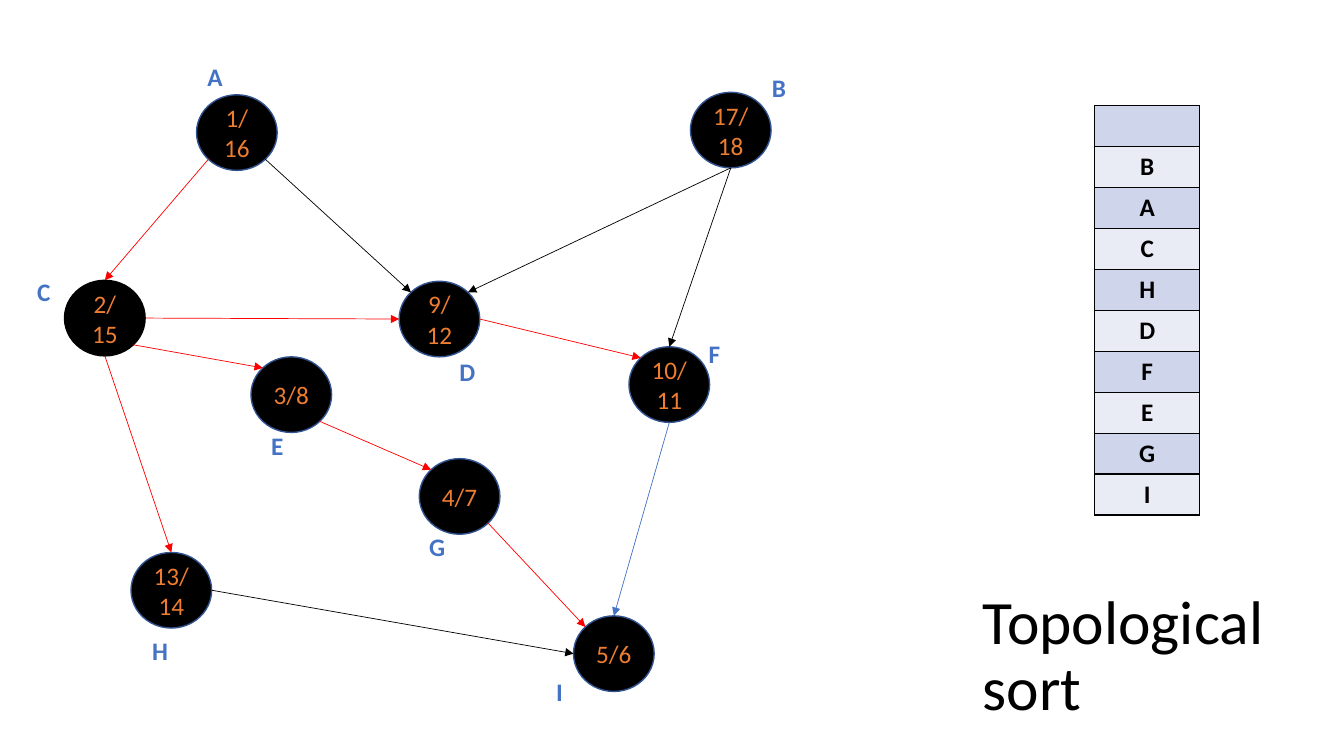
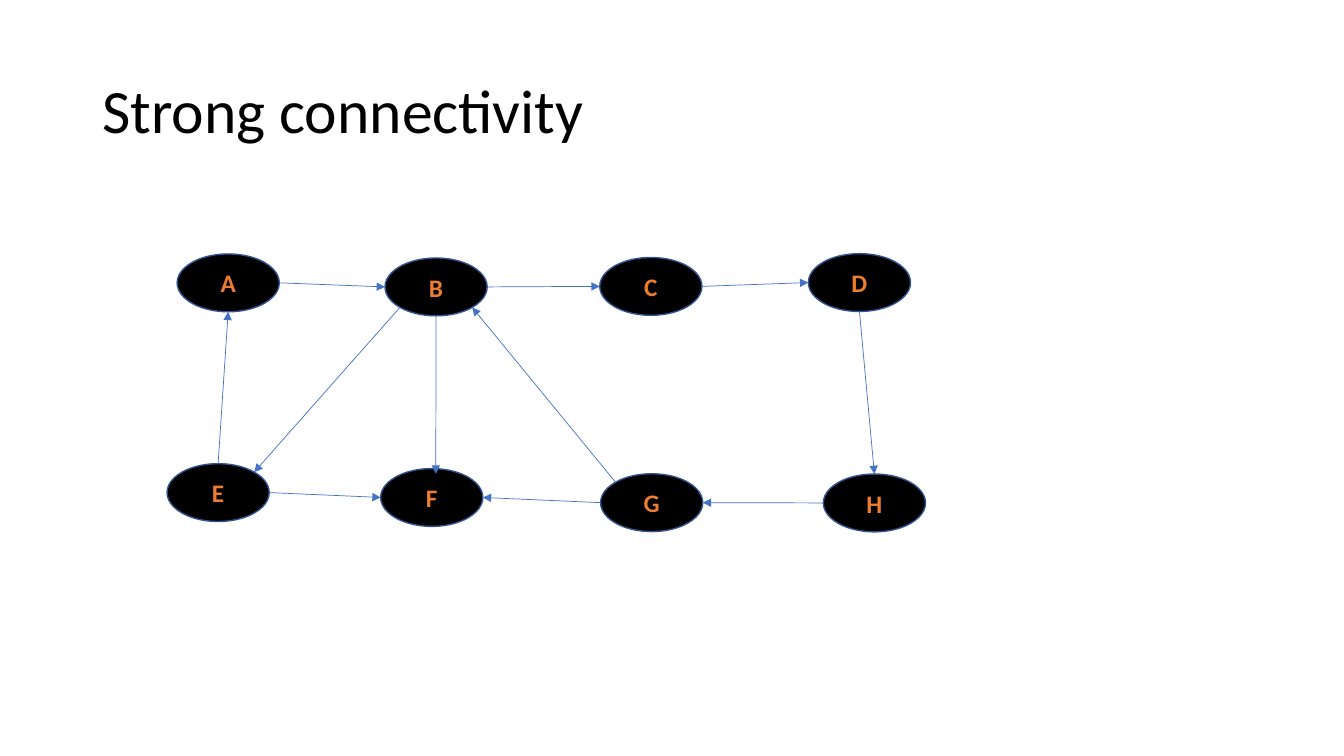
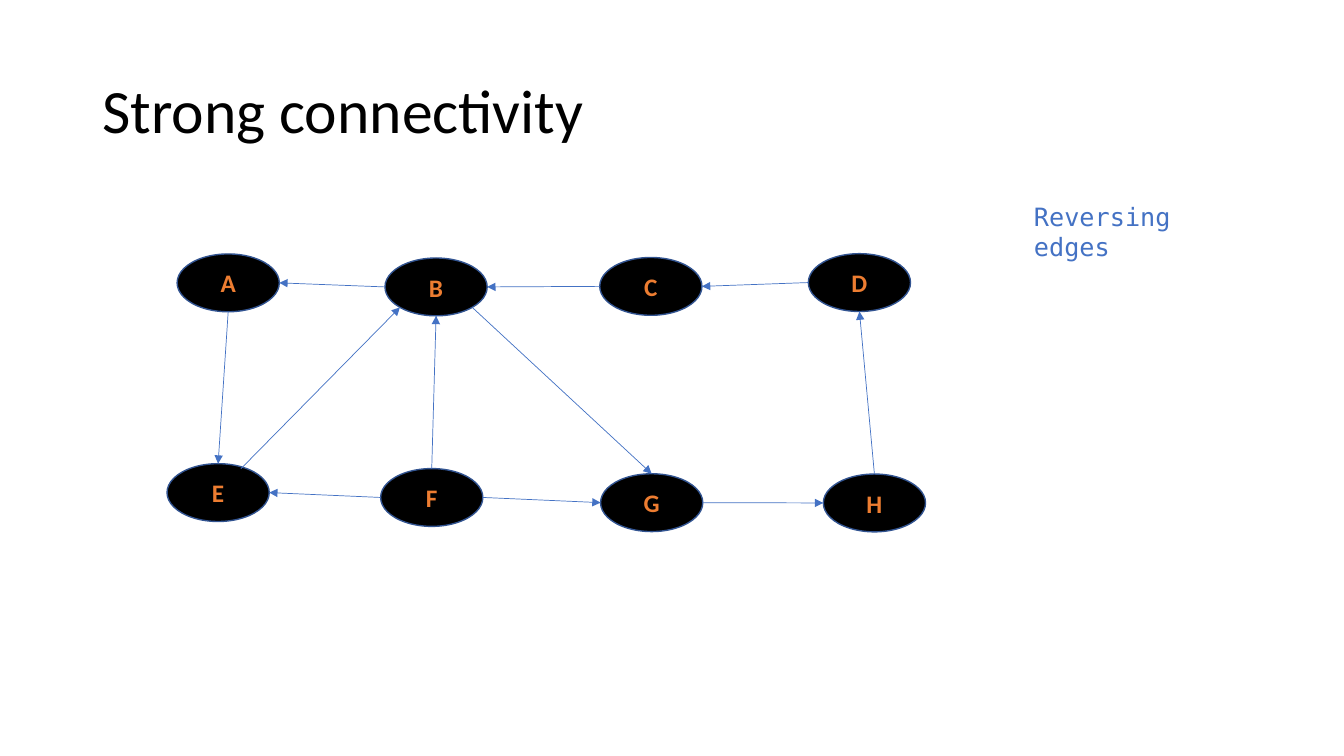
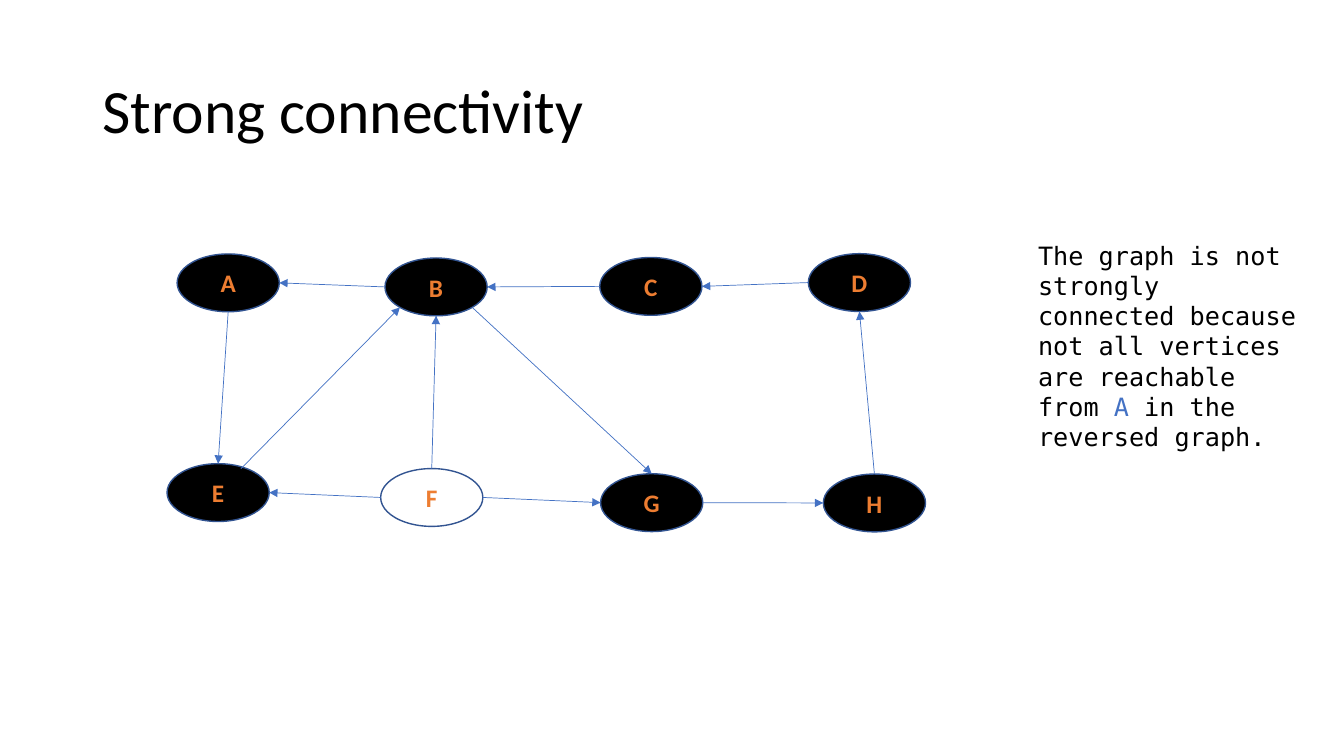
from dataclasses import dataclass
from math import cos, pi, sin
from typing import Any, NamedTuple

from lxml.etree import SubElement
from pptx import Presentation
from pptx.dml.color import RGBColor
from pptx.enum.shapes import MSO_CONNECTOR, MSO_SHAPE
from pptx.enum.text import MSO_ANCHOR, MSO_AUTO_SIZE, PP_ALIGN
from pptx.oxml.ns import qn
from pptx.shapes.autoshape import Shape
from pptx.slide import Slide
from pptx.util import Pt

OVAL = MSO_SHAPE.OVAL
STRAIGHT = MSO_CONNECTOR.STRAIGHT
MIDDLE = MSO_ANCHOR.MIDDLE
TOP = MSO_ANCHOR.TOP
GROW = MSO_AUTO_SIZE.SHAPE_TO_FIT_TEXT
FIXED = MSO_AUTO_SIZE.NONE
LEFT = PP_ALIGN.LEFT
CENTER = PP_ALIGN.CENTER

# Connection sites of an oval, counted anticlockwise from the top
N, NW, W, SW, S, SE, E, NE = range(8)


# Theme
@dataclass(frozen=True)
class Theme:
    black: str = "000000"
    red: str = "FF0000"
    blue: str = "4472C4"
    navy: str = "325491"
    orange: str = "ED7D31"
    dark: str = "CFD5EA"
    light: str = "E9EBF5"
    sans: str = "Calibri"
    mono: str = "DejaVu Sans Mono"
    head: float = 44
    body: float = 18
    rim: float = 1
    thin: float = 0.5


T = Theme()


class Box(NamedTuple):
    x: float
    y: float
    w: float
    h: float


class Run(NamedTuple):
    text: str
    color: str
    size: float = T.body
    bold: bool = False
    face: str = T.sans


class Node(NamedTuple):
    name: str
    x: float
    y: float
    text: str
    rim: str = T.navy


class Tag(NamedTuple):
    text: str
    x: float
    y: float


class Spot(NamedTuple):
    x: float
    y: float


class End(NamedTuple):
    name: str
    site: int


class Edge(NamedTuple):
    start: End | Spot
    stop: End | Spot
    color: str = T.blue


# Slide 1 data
DISC = (57.6, 54)
TAG = (56.2, 29)
TREE = [
    Node("A", 140.4, 67.7, "1/\n16"),
    Node("D", 285.1, 200.9, "9/\n12"),
    Node("F", 449.3, 247.7, "10/\n11"),
    Node("B", 493.2, 65.9, "17/18"),
    Node("I", 409.7, 439.9, "5/6"),
    Node("G", 299.5, 327.6, "4/7"),
    Node("E", 179.3, 254.9, "3/8"),
    Node("H", 93.6, 394.6, "13/14"),
    Node("C", 46.1, 200.2, "2/\n15", T.black),
]
TAGS = [
    Tag("A", 141.1, 40.3),
    Tag("B", 544.3, 48.2),
    Tag("C", 19.4, 193.7),
    Tag("D", 321.1, 251.3),
    Tag("F", 499, 238.3),
    Tag("G", 299.5, 375.8),
    Tag("E", 186.5, 303.8),
    Tag("H", 101.5, 450),
    Tag("I", 390.2, 479.5),
]
PATHS = [
    Edge(End("A", SW), End("C", N), T.red),
    Edge(End("C", S), End("H", N), T.red),
    Edge(End("H", E), End("I", W), T.black),
    Edge(End("G", SE), End("I", NW), T.red),
    Edge(End("E", SE), End("G", NW), T.red),
    Edge(End("C", SE), End("E", NW), T.red),
    Edge(End("C", E), End("D", W), T.red),
    Edge(End("D", E), End("F", NW), T.red),
    Edge(End("F", S), End("I", N)),
    Edge(End("B", S), End("F", N), T.black),
    Edge(End("B", S), End("D", NE), T.black),
    Edge(End("A", SE), End("D", NW), T.black),
]
ORDER = ["", *"BACHDFEGI"]
GRID = Box(782, 75.6, 74.9, 292.3)

# Slides 2 to 4 data
PILL = (73, 41.3)
WEB = [
    Node("A", 126.5, 181.4, "A"),
    Node("B", 275, 184.3, "B"),
    Node("C", 428.4, 183.9, "C"),
    Node("D", 577.4, 181.2, "D"),
    Node("H", 588.1, 338.6, "H"),
    Node("G", 429, 338.4, "G"),
    Node("F", 271.9, 334.7, "F"),
    Node("E", 119.3, 331.2, "E"),
]
BOTH = [
    Edge(End("A", E), End("B", W)),
    Edge(End("B", E), End("C", W)),
    Edge(End("E", E), End("F", W)),
    Edge(End("E", N), End("A", S)),
    Edge(End("C", E), End("D", W)),
    Edge(End("D", S), End("H", N)),
    Edge(End("H", W), End("G", E)),
    Edge(End("G", W), End("F", E)),
]
AHEAD = BOTH + [
    Edge(End("B", SW), End("E", NE)),
    Edge(End("B", S), Spot(311.3, 338.4)),
    Edge(End("G", NW), End("B", SE)),
]
BACK = [Edge(e.stop, e.start) for e in BOTH] + [
    Edge(Spot(172.1, 334.8), End("B", SW)),
    Edge(End("F", N), End("B", S)),
    Edge(End("B", SE), End("G", N)),
]
HEAD = Box(66, 28.8, 828, 104.4)


# Text
def put(item: Any, vals: dict[str, Any]) -> None:
    for key, val in vals.items():
        setattr(item, key, val)


def write(para: Any, runs: list[Run], align: Any = LEFT) -> None:
    para.alignment = align
    for part in runs:
        run = para.add_run()
        run.text = part.text
        put(run.font, {"name": part.face, "size": Pt(part.size), "bold": part.bold})
        run.font.color.rgb = RGBColor.from_string(part.color)


def label(slide: Slide, box: Box, runs: list[Run], **extra: Any) -> Any:
    frame = slide.shapes.add_textbox(*map(Pt, box)).text_frame
    put(frame, {"word_wrap": True, "auto_size": GROW, "vertical_anchor": TOP} | extra)
    write(frame.paragraphs[0], runs)
    return frame.paragraphs[0]


def title(slide: Slide, text: str, box: Box = HEAD) -> None:
    runs = [Run(text, T.black, T.head)]
    para = label(slide, box, runs, auto_size=FIXED, vertical_anchor=MIDDLE)
    para.line_spacing = 0.9


# Graphs
def oval(slide: Slide, node: Node, size: tuple[float, float], bold: bool,
         clear: bool) -> Shape:
    shape = slide.shapes.add_shape(OVAL, *map(Pt, (node.x, node.y, *size)))
    shape.shadow.inherit = False
    if clear:
        shape.fill.background()
    else:
        shape.fill.solid()
        shape.fill.fore_color.rgb = RGBColor.from_string(T.black)
    shape.line.color.rgb = RGBColor.from_string(node.rim)
    shape.line.width = Pt(T.rim)
    frame = shape.text_frame
    put(frame, {"word_wrap": True, "vertical_anchor": MIDDLE})
    for num, text in enumerate(node.text.split("\n")):
        para = frame.add_paragraph() if num else frame.paragraphs[0]
        write(para, [Run(text, T.orange, bold=bold)], CENTER)
    return shape


def locate(end: End | Spot, ovals: dict[str, Shape]) -> tuple[int, int]:
    if isinstance(end, Spot):
        return Pt(end.x), Pt(end.y)
    shape, turn = ovals[end.name], end.site * pi / 4
    x = shape.left + shape.width / 2 * (1 - sin(turn))
    y = shape.top + shape.height / 2 * (1 - cos(turn))
    return round(x), round(y)


def arrow(slide: Slide, edge: Edge, ovals: dict[str, Shape]) -> None:
    ends = (*locate(edge.start, ovals), *locate(edge.stop, ovals))
    line = slide.shapes.add_connector(STRAIGHT, *ends)
    line.line.color.rgb = RGBColor.from_string(edge.color)
    line.line.width = Pt(T.thin)
    prop = line.element.spPr
    SubElement(prop.find(qn("a:ln")), qn("a:tailEnd"), type="triangle")
    SubElement(prop, qn("a:effectLst"))
    # Join by XML, as an oval has eight sites
    joint = line.element.find(".//" + qn("p:cNvCxnSpPr"))
    for tag, end in (("a:stCxn", edge.start), ("a:endCxn", edge.stop)):
        if isinstance(end, End):
            ident = str(ovals[end.name].shape_id)
            SubElement(joint, qn(tag), id=ident, idx=str(end.site))


def graph(slide: Slide, nodes: list[Node], edges: list[Edge],
          size: tuple[float, float] = PILL, bold: bool = True,
          clear: str = "") -> None:
    ovals = {n.name: oval(slide, n, size, bold, n.name == clear) for n in nodes}
    for edge in edges:
        arrow(slide, edge, ovals)


# Table
def border(cell: Any) -> None:
    prop = cell._tc.get_or_add_tcPr()
    for num, side in enumerate(("a:lnL", "a:lnR", "a:lnT", "a:lnB")):
        line = prop.makeelement(qn(side), {"w": str(Pt(T.rim))})
        fill = SubElement(line, qn("a:solidFill"))
        SubElement(fill, qn("a:srgbClr"), val=T.black)
        prop.insert(num, line)


def column(slide: Slide, names: list[str], box: Box) -> None:
    table = slide.shapes.add_table(len(names), 1, *map(Pt, box)).table
    put(table, {"first_row": False, "horz_banding": False})
    for num, name in enumerate(names):
        cell = table.cell(num, 0)
        cell.fill.solid()
        shade = T.light if num % 2 else T.dark
        cell.fill.fore_color.rgb = RGBColor.from_string(shade)
        if name:
            write(cell.text_frame.paragraphs[0], [Run(name, T.black, bold=True)], CENTER)
        border(cell)


# Slides
def main() -> None:
    deck = Presentation()
    put(deck, {"slide_width": Pt(960), "slide_height": Pt(540)})
    sort, plain, turned, last = (
        deck.slides.add_slide(deck.slide_layouts[6]) for _ in range(4))

    title(sort, "Topological sort", Box(694.8, 417.6, 234.7, 104.4))
    graph(sort, TREE, PATHS, DISC, bold=False)
    for tag in TAGS:
        label(sort, Box(tag.x, tag.y, *TAG), [Run(tag.text, T.blue, bold=True)])
    column(sort, ORDER, GRID)

    for slide, edges, clear in ((plain, AHEAD, ""), (turned, BACK, ""), (last, BACK, "F")):
        title(slide, "Strong connectivity")
        graph(slide, WEB, edges, clear=clear)

    label(turned, Box(731.5, 140.4, 175.7, 29),
          [Run("Reversing edges", T.blue, face=T.mono)])
    label(last, Box(734.4, 167.8, 198.7, 159.8), [
        Run("The graph is not strongly connected because not all vertices "
            "are reachable from ", T.black, face=T.mono),
        Run("A", T.blue, face=T.mono),
        Run(" in the reversed graph.", T.black, face=T.mono),
    ])
    deck.save("out.pptx")


if __name__ == "__main__":
    main()
